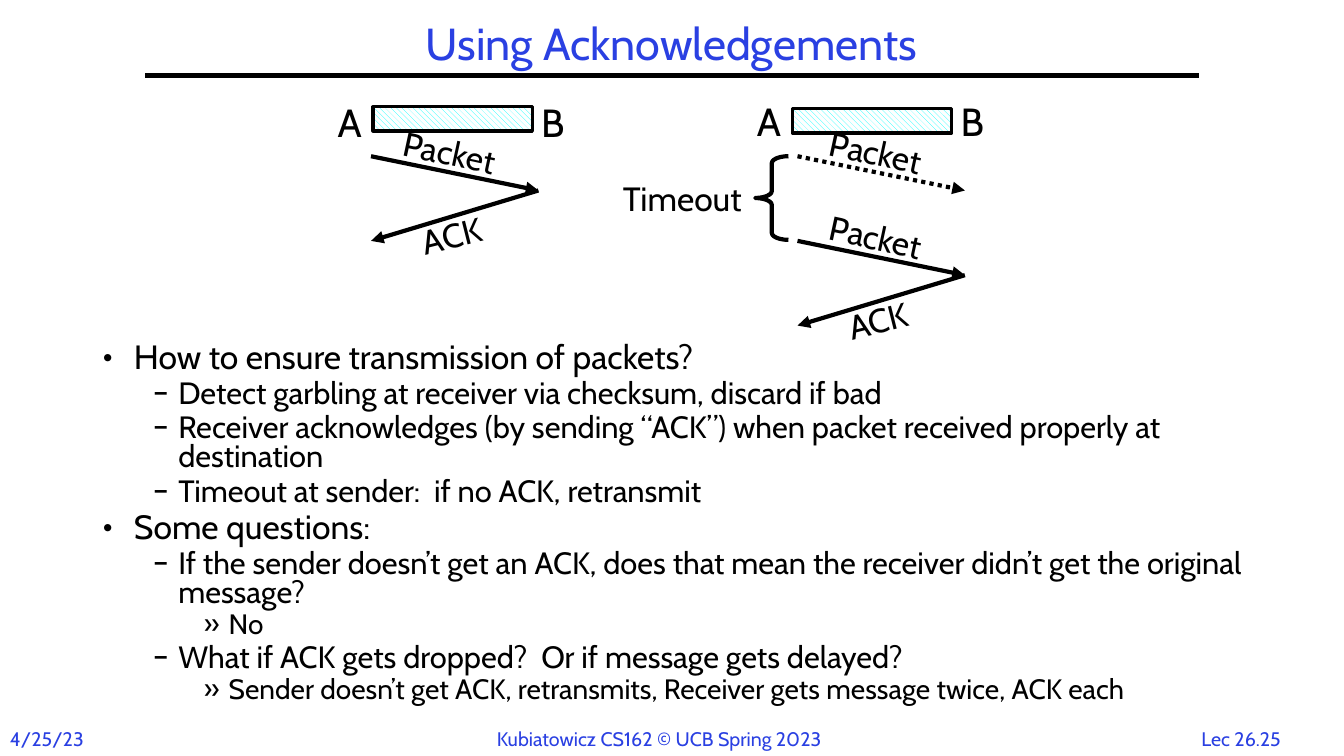
from dataclasses import dataclass

from pptx import Presentation
from pptx.dml.color import RGBColor
from pptx.enum.dml import MSO_LINE_DASH_STYLE as Dash, MSO_PATTERN_TYPE as Pattern
from pptx.enum.shapes import MSO_CONNECTOR as Conn, MSO_SHAPE as Shape
from pptx.enum.text import MSO_ANCHOR as Anchor, MSO_AUTO_SIZE as AutoSize, PP_ALIGN as Align
from pptx.oxml.ns import qn
from pptx.util import Inches, Pt

FONT, BLUE, BLACK = "Cabin", "2A40E2", "000000"
HOST_SIZE = 28
TILT = 12.3


@dataclass
class Level:
    bullet: str
    size: int
    margin: float
    hang: float
    before: float


@dataclass
class Point:
    level: int
    text: str


@dataclass
class Exchange:
    """Packet sent from (x, y), answered by an ACK unless it is lost."""
    x: float
    y: float
    lost: bool = False


@dataclass
class Link:
    """Shaded bar between the hosts A and B."""
    x: float
    y: float
    host_y: float


LEVELS = [
    Level("•", 24, 0.31, 0.31, 4),
    Level("–", 22, 0.75, 0.25, 3.3),
    Level("»", 20, 1.25, 0.25, 2.7),
]
POINTS = [
    Point(0, "How to ensure transmission of packets?"),
    Point(1, "Detect garbling at receiver via checksum, discard if bad"),
    Point(1, "Receiver acknowledges (by sending “ACK”) when packet received properly at destination"),
    Point(1, "Timeout at sender:  if no ACK, retransmit"),
    Point(0, "Some questions:"),
    Point(1, "If the sender doesn’t get an ACK, does that mean the receiver didn’t get the original message?"),
    Point(2, "No"),
    Point(1, "What if ACK gets dropped?  Or if message gets delayed?"),
    Point(2, "Sender doesn’t get ACK, retransmits, Receiver gets message twice, ACK each"),
]
LINKS = [Link(3.7, 1.06, 0.93), Link(7.86, 1.08, 0.92)]
EXCHANGES = [Exchange(3.68, 1.55), Exchange(7.91, 1.55, lost=True), Exchange(7.91, 2.39)]

prs = Presentation()
prs.slide_width, prs.slide_height = Inches(13.33), Inches(7.5)
s = prs.slides.add_slide(prs.slide_layouts[5])


def rgb(color: str) -> RGBColor:
    return RGBColor.from_string(color)


def style(p, size: float, color: str = BLACK) -> None:
    p.font.name, p.font.size = FONT, Pt(size)
    p.font.color.rgb = rgb(color)


def label(text: str, x: float, y: float, w: float, h: float, *, size: float = 24,
          color: str = BLACK, align: Align = Align.LEFT, rotation: float = 0) -> None:
    box = s.shapes.add_textbox(Inches(x), Inches(y), Inches(w), Inches(h))
    box.rotation = rotation
    box.text_frame.word_wrap = False
    p = box.text_frame.paragraphs[0]
    p.text, p.alignment = text, align
    style(p, size, color)


def outline(line, width: float) -> None:
    line.color.rgb, line.width = rgb(BLACK), Pt(width)


def rule(x1: float, y1: float, x2: float, y2: float, *,
         arrow: bool = False, dotted: bool = False) -> None:
    c = s.shapes.add_connector(Conn.STRAIGHT, Inches(x1), Inches(y1), Inches(x2), Inches(y2))
    outline(c.line, 3)
    if dotted:
        c.line.dash_style = Dash.ROUND_DOT
    if arrow:
        ln = c.line._get_or_add_ln()
        ln.append(ln.makeelement(qn("a:tailEnd"), {"type": "triangle"}))
    sp_pr = c._element.spPr
    sp_pr.append(sp_pr.makeelement(qn("a:effectLst"), {}))


def draw_link(link: Link) -> None:
    bar = s.shapes.add_shape(Shape.RECTANGLE, Inches(link.x), Inches(link.y),
                             Inches(1.58), Inches(0.24))
    bar.shadow.inherit = False
    bar.fill.patterned()
    bar.fill.pattern = Pattern.WIDE_DOWNWARD_DIAGONAL
    bar.fill.fore_color.rgb, bar.fill.back_color.rgb = rgb("00FFFF"), rgb("FFFFFF")
    outline(bar.line, 2.25)
    for host, dx in (("A", -0.45), ("B", 1.57)):
        label(host, link.x + dx, link.host_y, 0.46, 0.57, size=HOST_SIZE)


def draw_exchange(e: Exchange) -> None:
    far_x, far_y = e.x + 1.66, e.y + 0.34
    rule(e.x, e.y, far_x, far_y, arrow=True, dotted=e.lost)
    label("Packet", e.x + 0.22, e.y - 0.28, 1.23, 0.5, rotation=TILT)
    if not e.lost:
        rule(far_x, far_y, e.x, e.y + 0.84, arrow=True)
        label("ACK", e.x + 0.4, e.y + 0.52, 0.89, 0.5, rotation=345.8)


def add_bullet(p, level: Level) -> None:
    p_pr = p._p.get_or_add_pPr()
    p_pr.set("marL", str(Inches(level.margin)))
    p_pr.set("indent", str(-Inches(level.hang)))
    p_pr.append(p_pr.makeelement(qn("a:buFont"), {"typeface": FONT}))
    p_pr.append(p_pr.makeelement(qn("a:buChar"), {"char": level.bullet}))


# Title and rule
title = s.shapes.title
title.left, title.top, title.width, title.height = (Inches(v) for v in (1.44, 0.17, 10.44, 0.58))
tf = title.text_frame
tf.text = "Using Acknowledgements"
tf.auto_size, tf.vertical_anchor = AutoSize.NONE, Anchor.MIDDLE
p = tf.paragraphs[0]
p.alignment, p.line_spacing = Align.CENTER, 0.9
style(p, 32, BLUE)
rule(1.44, 0.75, 11.89, 0.75)

# Timing diagrams
for link in LINKS:
    draw_link(link)
for exchange in EXCHANGES:
    draw_exchange(exchange)

# Timeout brace
brace = s.shapes.add_shape(Shape.LEFT_BRACE, Inches(7.49), Inches(1.55), Inches(0.33), Inches(0.83))
brace.adjustments[0] = 0.21
brace.shadow.inherit = False
brace.fill.background()
outline(brace.line, 3)
label("Timeout", 6.08, 1.72, 1.4, 0.5)

# Bulleted text
body = s.shapes.add_textbox(Inches(0.92), Inches(3.36), Inches(11.92), Inches(4.19))
tf = body.text_frame
tf.word_wrap = True
for i, point in enumerate(POINTS):
    p = tf.add_paragraph() if i else tf.paragraphs[0]
    level = LEVELS[point.level]
    p.text, p.level = point.text, point.level
    add_bullet(p, level)
    p.line_spacing = 0.8
    p.space_before = Pt(level.before if i else 0)
    style(p, level.size)

# Footer
label("4/25/23", 0, 7.16, 1.05, 0.34, size=14, color=BLUE)
label("Kubiatowicz CS162 © UCB Spring 2023", 4.83, 7.16, 3.68, 0.34, size=14, color=BLUE)
label("Lec 26.25", 11.77, 7.16, 1.08, 0.33, size=14, color=BLUE, align=Align.CENTER)

prs.save("out.pptx")
